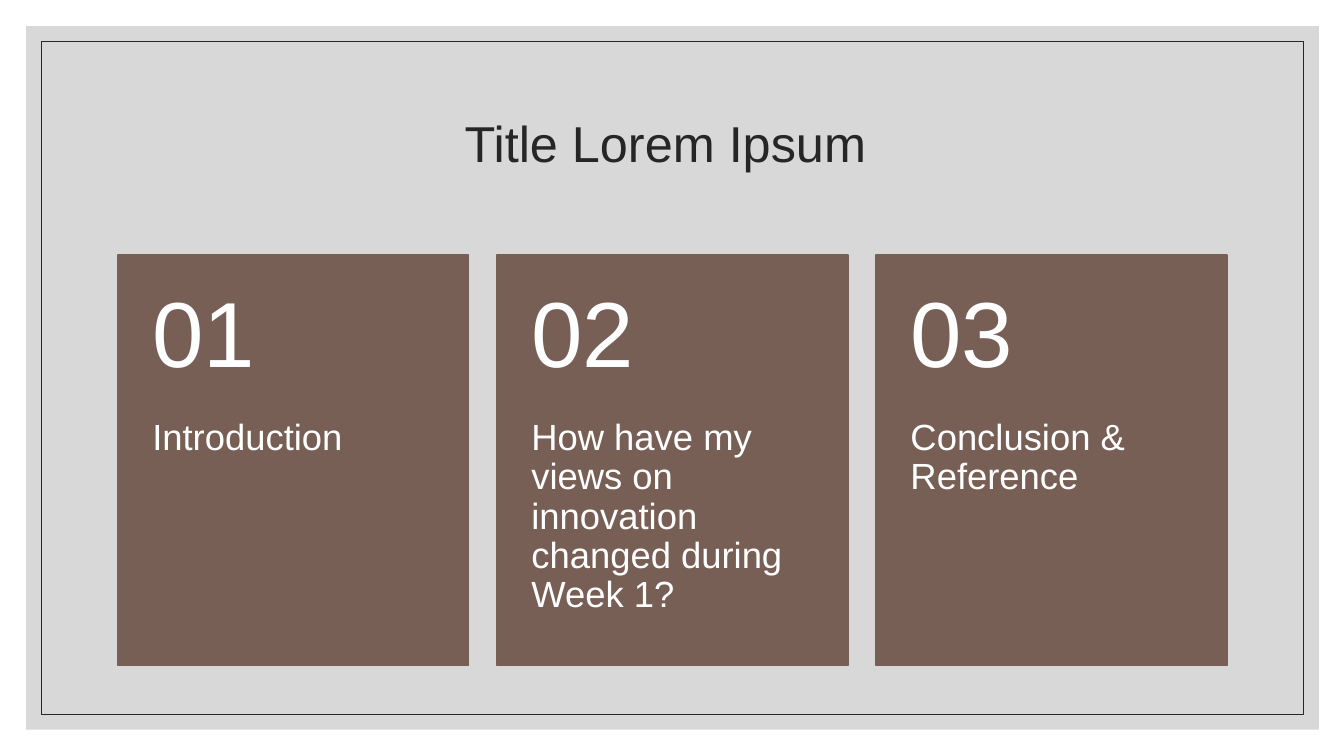
"""Build an agenda slide with three numbered cards inside a framed panel."""
from lxml import etree
from pptx import Presentation
from pptx.dml.color import RGBColor
from pptx.enum.shapes import MSO_SHAPE
from pptx.enum.text import MSO_ANCHOR, PP_ALIGN
from pptx.oxml.ns import qn
from pptx.util import Inches, Pt

TITLE = "Title Lorem Ipsum "
TOPICS = [
    "Introduction",
    "How have my views on innovation changed during Week 1?",
    "Conclusion & Reference",
]

FONT = "Arial"
GREY = RGBColor(0xBF, 0xBF, 0xBF)
DARK = RGBColor(0x26, 0x26, 0x26)
BROWN = RGBColor(0x77, 0x5F, 0x55)
WHITE = RGBColor(0xFF, 0xFF, 0xFF)
RECT = MSO_SHAPE.RECTANGLE
TOP, MIDDLE = MSO_ANCHOR.TOP, MSO_ANCHOR.MIDDLE
LEFT, CENTER = PP_ALIGN.LEFT, PP_ALIGN.CENTER

CARD_LEFT, CARD_TOP = 1.17, 2.53
CARD_W, CARD_H = 3.48, 4.07
CARD_STEP = 3.76
NUMBER_H = 1.63


def add_rect(s, box, fill=None, line=None, width=1):
    sp = s.shapes.add_shape(RECT, *map(Inches, box))
    sp.shadow.inherit = False
    if fill is None:
        sp.fill.background()
    else:
        sp.fill.solid()
        sp.fill.fore_color.rgb = fill
    if line is None:
        sp.line.fill.background()
    else:
        sp.line.color.rgb = line
        sp.line.width = Pt(width)
    return sp


def add_text(s, box, text, size, color, anchor, align=LEFT,
             insets=(0.1, 0.05, 0.1, 0.05)):
    tf = s.shapes.add_textbox(*map(Inches, box)).text_frame
    tf.word_wrap = True
    tf.vertical_anchor = anchor
    tf.margin_left, tf.margin_top, tf.margin_right, tf.margin_bottom = map(Inches, insets)
    tf.text = text
    p = tf.paragraphs[0]
    p.alignment = align
    p.line_spacing = 0.9
    font = p.runs[0].font
    font.name, font.size, font.color.rgb = FONT, Pt(size), color


def add_card(s, index, topic):
    x = CARD_LEFT + index * CARD_STEP
    add_rect(s, (x, CARD_TOP, CARD_W, CARD_H), BROWN, BROWN)
    add_text(s, (x, CARD_TOP + NUMBER_H, CARD_W, CARD_H - NUMBER_H), topic,
             26, WHITE, TOP, insets=(0.34, 0, 0.34, 0.36))
    add_text(s, (x, CARD_TOP, CARD_W, NUMBER_H), f"{index + 1:02d}",
             66, WHITE, MIDDLE, insets=(0.34, 0.18, 0.34, 0.18))


def main():
    prs = Presentation()
    prs.slide_width, prs.slide_height = Inches(13.33), Inches(7.5)
    s = prs.slides.add_slide(prs.slide_layouts[6])
    panel = add_rect(s, (0.26, 0.26, 12.82, 6.98), GREY)
    color = panel.fill._xPr.find(qn("a:solidFill"))[0]
    etree.SubElement(color, qn("a:alpha")).set("val", "60000")
    add_rect(s, (0.41, 0.41, 12.52, 6.68), line=DARK, width=0.5)
    add_text(s, (1.17, 0.7, 11, 1.5), TITLE, 36, DARK, MIDDLE, CENTER)
    for index, topic in enumerate(TOPICS):
        add_card(s, index, topic)
    prs.save("out.pptx")


if __name__ == "__main__":
    main()
